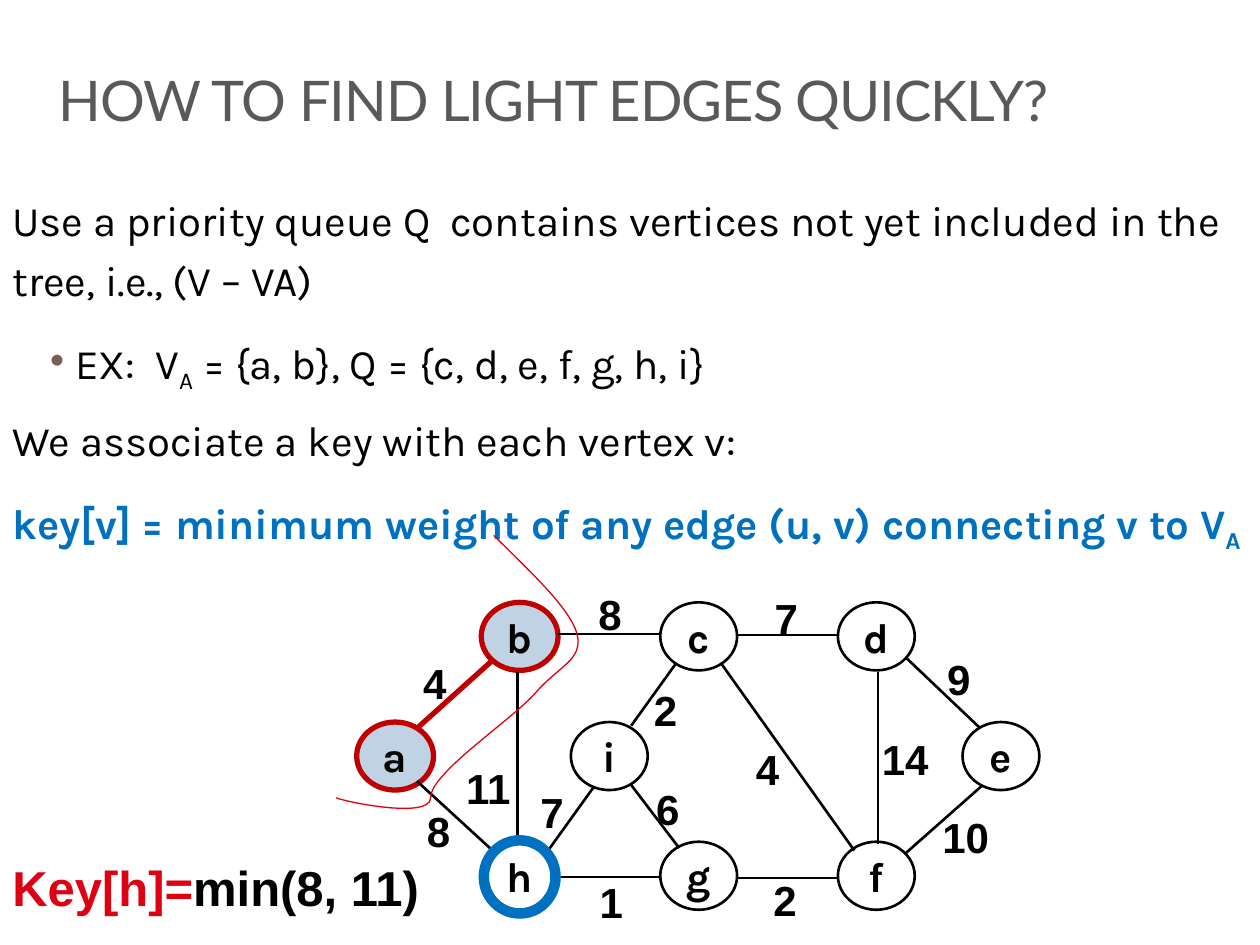
from dataclasses import dataclass

from pptx import Presentation
from pptx import util as u
from pptx.dml import color
from pptx.enum import shapes, text
from pptx.oxml import ns, xmlchemy as xc

Pt = u.Pt


@dataclass(frozen=True)
class Theme:
    """Colours, fonts and type sizes of the slide."""
    ink: str = "000000"
    gray: str = "595959"
    blue: str = "0070C0"
    red: str = "C00000"
    cut: str = "DD0111"
    pale: str = "BFD3E4"
    dot: str = "775F55"
    head: str = "Lato"
    body: str = "Karla"
    sans: str = "Arial"
    big: int = 32
    mid: int = 28
    base: int = 24


T = Theme()
COLS = {"a": 203.8, "b": 275, "c": 377.3, "d": 478.8, "e": 550,
        "h": 275, "g": 377.3, "f": 478.8, "i": 326.2}
ROWS = {"bcd": 344.2, "aei": 412.6, "hgf": 481}
EDGES = [
    (295.9, 383.8, 295.9, 482.4), (501.8, 383.8, 501.8, 482.4),
    (319, 362.2, 377.3, 362.2), (421.2, 362.9, 478.8, 362.9),
    (319, 501.1, 377.3, 501.1), (421.9, 501.8, 479.5, 501.8),
    (517.7, 487.4, 561.6, 448.6), (517.7, 375.8, 560.2, 416.2),
    (238.3, 446.4, 281.5, 486), (411.8, 378.7, 488.2, 486),
    (360.7, 448.6, 388.1, 484.6), (313.2, 486, 339.1, 450),
    (360.7, 414.7, 386.6, 378.7)]
TREE = (238.3, 416.2, 281.5, 377.3)
COSTS = [
    ("4", 234.7, 372.2), ("8", 334.8, 332.6), ("7", 435.6, 334.8),
    ("8", 236.9, 456.5), ("11", 259.2, 432), ("1", 335.5, 497.5),
    ("2", 434.9, 496.1), ("7", 301.7, 445.7), ("2", 366.5, 387.4),
    ("4", 424.8, 421.2), ("14", 496.8, 415.4), ("9", 534.2, 370.1),
    ("10", 531.4, 460.1), ("6", 367.9, 444.2)]
START = (282.2, 306)
CURVES = [
    ((302.4, 326.2), (325.4, 347), (329.8, 362.2)),
    ((333.4, 377.3), (319.7, 380.2), (306, 396)),
    ((292.3, 411.8), (245.5, 442.1), (246.2, 455.8)),
    ((246.2, 469.4), (190.1, 456.5), (192.2, 455.8))]


def rgb(code):
    """Turn a hex code into a colour."""
    return color.RGBColor.from_string(code)


def style(par, face, size, hue=T.ink, bold=False):
    """Set the font of a whole paragraph."""
    font = par.font
    font.name, font.size, font.bold = face, Pt(size), bold
    font.color.rgb = rgb(hue)


def add_box(slide, x, y, w, h, wrap=False):
    """Add a text box and return its frame."""
    frame = slide.shapes.add_textbox(Pt(x), Pt(y), Pt(w), Pt(h)).text_frame
    frame.word_wrap = wrap
    return frame


def add_sub(par, words):
    """Add a subscript run."""
    run = par.add_run()
    run.text = words
    run._r.get_or_add_rPr().set("baseline", "-25000")


def add_dot(par):
    """Give a paragraph an indented round bullet."""
    props = par._p.get_or_add_pPr()
    props.set("marL", str(Pt(36)))
    props.set("indent", str(Pt(-14.4)))
    hue = xc.OxmlElement("a:buClr")
    val = xc.OxmlElement("a:srgbClr")
    val.set("val", T.dot)
    hue.append(val)
    char = xc.OxmlElement("a:buChar")
    char.set("char", "•")
    props.extend([hue, char])


def add_title(slide):
    """Add the slide title."""
    frame = add_box(slide, 26.6, 7.9, 648, 71.3, True)
    frame.vertical_anchor = text.MSO_ANCHOR.BOTTOM
    par = frame.paragraphs[0]
    run = par.add_run()
    run.text = "HOW TO FIND LIGHT EDGES QUICKLY?"
    run._r.get_or_add_rPr().set("spc", "-60")
    style(par, T.head, T.big, T.gray)


def add_body(slide):
    """Add the explanation with its one bullet."""
    frame = add_box(slide, 0, 95.8, 738, 420.5, True)
    frame.margin_top = Pt(9.4)
    rows = [
        (("Use a priority queue Q  contains vertices not yet included "
          "in the tree, i.e., (V – VA)",), False, False),
        (("EX:  V", "A", " = {a, b}, Q = {c, d, e, f, g, h, i}"), True, False),
        (("We associate a key with each vertex v:",), False, False),
        (("key[v] = minimum weight of any edge (u, v) connecting v to V",
          "A"), False, True)]
    for n, (parts, dot, key) in enumerate(rows):
        par = frame.add_paragraph() if n else frame.paragraphs[0]
        par.line_spacing = 1.2
        par.space_before = Pt(5.8 if n else 0)
        par.space_after = Pt(0 if dot else 6)
        if dot:
            add_dot(par)
        for k, part in enumerate(parts):
            if k == 1:
                add_sub(par, part)
            else:
                par.add_run().text = part
        style(par, T.body, T.base, T.blue if key else T.ink, key)


def add_oval(slide, x, y, w, h, hue, width, fill=None):
    """Add an outlined oval, filled on request."""
    oval = slide.shapes.add_shape(
        shapes.MSO_SHAPE.OVAL, Pt(x), Pt(y), Pt(w), Pt(h))
    oval.shadow.inherit = False
    if fill:
        oval.fill.solid()
        oval.fill.fore_color.rgb = rgb(fill)
    else:
        oval.fill.background()
    oval.line.color.rgb = rgb(hue)
    oval.line.width = Pt(width)
    return oval


def add_node(slide, name, x, y):
    """Add a named vertex, marked if it is in the tree."""
    look = (T.red, 3, T.pale) if name in "ab" else (T.ink, 1.5)
    frame = add_oval(slide, x, y, 43.9, 38.9, *look).text_frame
    frame.word_wrap = False
    frame.vertical_anchor = text.MSO_ANCHOR.MIDDLE
    par = frame.paragraphs[0]
    par.text = name
    par.alignment = text.PP_ALIGN.CENTER
    style(par, T.body, T.base, bold=True)


def add_edge(slide, ends, hue=T.ink, width=1.5):
    """Add a straight edge."""
    edge = slide.shapes.add_connector(
        shapes.MSO_CONNECTOR.STRAIGHT, *map(Pt, ends))
    edge.line.color.rgb = rgb(hue)
    edge.line.width = Pt(width)
    edge._element.find(ns.qn("p:spPr")).append(xc.OxmlElement("a:effectLst"))


def add_cost(slide, words, x, y):
    """Add an edge weight."""
    par = add_box(slide, x, y, 14.8 + 13.3 * len(words), 36).paragraphs[0]
    par.text = words
    style(par, T.sans, T.base, bold=True)


def add_key(slide):
    """Add the key formula of vertex h."""
    par = add_box(slide, 0, 486.7, 249.8, 41).paragraphs[0]
    for words, hue in (("Key[h]=", T.cut), ("min(8, 11)", T.ink)):
        run = par.add_run()
        run.text = words
        run.font.color.rgb = rgb(hue)
    style(par, T.sans, T.mid, bold=True)


def add_cut(slide, steps=16):
    """Add the curved cut around the tree."""
    dots, last = [], START
    for one, two, end in CURVES:
        for n in range(1, steps + 1):
            t = n / steps
            s = 1 - t
            dots.append(tuple(
                Pt(s**3 * a + 3 * s * s * t * b + 3 * s * t * t * c + t**3 * d)
                for a, b, c, d in zip(last, one, two, end)))
        last = end
    pen = slide.shapes.build_freeform(*map(Pt, START), scale=1.0)
    pen.add_line_segments(dots, close=False)
    cut = pen.convert_to_shape()
    cut.shadow.inherit = False
    cut.fill.background()
    cut.line.color.rgb = rgb(T.cut)
    cut.line.width = Pt(0.75)


def main():
    """Build the slide and save it."""
    deck = Presentation()
    deck.slide_width, deck.slide_height = Pt(720), Pt(540)
    slide = deck.slides.add_slide(deck.slide_layouts[6])
    add_title(slide)
    add_body(slide)
    for names, y in ROWS.items():
        for name in names:
            add_node(slide, name, COLS[name], y)
    for ends in EDGES:
        add_edge(slide, ends)
    add_edge(slide, TREE, T.red, 3)
    for cost in COSTS:
        add_cost(slide, *cost)
    add_oval(slide, 276.5, 480.2, 41, 41.8, T.blue, 6)
    add_key(slide)
    add_cut(slide)
    deck.save("out.pptx")


if __name__ == "__main__":
    main()
